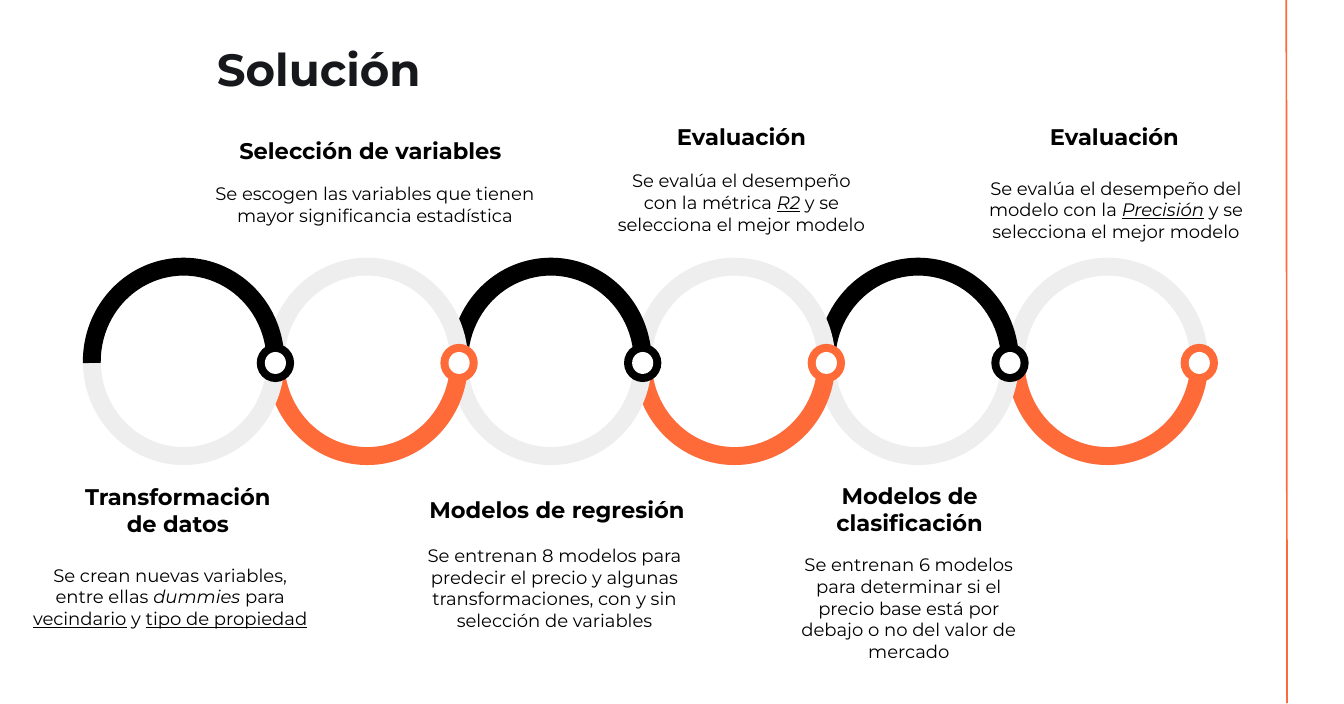
from pptx import Presentation
from pptx.dml.color import RGBColor
from pptx.enum.shapes import MSO_CONNECTOR, MSO_SHAPE
from pptx.enum.text import MSO_ANCHOR, MSO_AUTO_SIZE, PP_ALIGN
from pptx.oxml import parse_xml
from pptx.oxml.ns import nsdecls
from pptx.util import Pt

PX = 9144
FONT = "Montserrat"
BLACK = RGBColor(0x00, 0x00, 0x00)
INK = RGBColor(0x16, 0x18, 0x1C)
ORANGE = RGBColor(0xFF, 0x6A, 0x39)
GRAY = RGBColor(0xEE, 0xEE, 0xEE)
WHITE = RGBColor(0xFF, 0xFF, 0xFF)

RING_W, RING_H, RING_TOP, RING_THICKNESS = 248, 255, 317, 22
RING_LEFTS = [102 + 226 * i for i in range(5)] + [1239]
NODE_W, NODE_H, NODE_TOP, NODE_OFFSET, NODE_RIM = 46, 47, 423, 214, 10
UPPER_ARC, LOWER_ARC = (179, 1), (1, 179)

STEPS = [
    ("Transformación de datos", (88, 589, 262, 77), (30, 686, 359, 96),
     [("Se crean nuevas variables, entre ellas ", ""), ("dummies ", "i"),
      ("para ", ""), ("vecindario", "u"), (" y ", ""), ("tipo de propiedad", "u")]),
    ("Selección de variables", (273, 147, 366, 77), (248, 203, 427, 96),
     [("Se escogen las variables que tienen mayor significancia estadística", "")]),
    ("Modelos de regresión", (515, 588, 341, 77), (492, 675, 381, 96),
     [("Se entrenan 8 modelos para predecir el precio y algunas "
       "transformaciones, con y sin selección de variables", "")]),
    ("Evaluación", (749, 129, 327, 77), (749, 201, 327, 96),
     [("Se evalúa el desempeño con la métrica ", ""), ("R2", "iu"),
      (" y se selecciona el mejor modelo", "")]),
    ("Modelos de clasificación", (949, 588, 341, 77), (961, 700, 315, 96),
     [("Se entrenan 6 modelos para determinar si el precio base está por "
       "debajo o no del valor de mercado", "")]),
    ("Evaluación", (1208, 129, 327, 77), (1203, 210, 341, 96),
     [("Se evalúa el desempeño del modelo con la ", ""), ("Precisión", "iu"),
      (" y se selecciona el mejor modelo", "")]),
]


class Deck:
    def __init__(self, width, height):
        self.prs = Presentation()
        self.prs.slide_width, self.prs.slide_height = width * PX, height * PX
        self.s = self.prs.slides.add_slide(self.prs.slide_layouts[5])

    def frame(self, sp, inset):
        tf = sp.text_frame
        tf.word_wrap = True
        tf.auto_size = MSO_AUTO_SIZE.NONE
        tf.vertical_anchor = MSO_ANCHOR.MIDDLE
        tf.margin_left = tf.margin_right = inset * PX
        tf.margin_top = tf.margin_bottom = inset * PX
        return tf

    def style(self, r, size, color, bold=False):
        r.font.name = FONT
        r.font.size = Pt(size)
        r.font.bold = bold
        r.font.color.rgb = color

    def title(self, text, left, top, width, height):
        sp = self.s.shapes.title
        sp.left, sp.top = left * PX, top * PX
        sp.width, sp.height = width * PX, height * PX
        tf = self.frame(sp, 16)
        tf.text = text
        p = tf.paragraphs[0]
        p.alignment = PP_ALIGN.LEFT
        self.style(p.runs[0], 40, INK, True)

    def text(self, runs, box, size, bold=False):
        sp = self.s.shapes.add_textbox(*(v * PX for v in box))
        p = self.frame(sp, 10).paragraphs[0]
        p.alignment = PP_ALIGN.CENTER
        for text, marks in runs:
            r = p.add_run()
            r.text = text
            self.style(r, size, BLACK, bold)
            r.font.italic = "i" in marks
            r.font.underline = "u" in marks

    def shape(self, kind, left, top, width, height, fill, adjustments=()):
        sp = self.s.shapes.add_shape(kind, left * PX, top * PX, width * PX, height * PX)
        sp.shadow.inherit = False
        sp.fill.solid()
        sp.fill.fore_color.rgb = fill
        sp.line.fill.background()
        for i, value in enumerate(adjustments):
            sp.adjustments[i] = value

    def ring(self, left, color, angles):
        box = (left, RING_TOP, RING_W, RING_H)
        ratio = RING_THICKNESS / RING_W
        self.shape(MSO_SHAPE.DONUT, *box, GRAY, [ratio])
        start, end = (angle * 0.6 for angle in angles)
        self.shape(MSO_SHAPE.BLOCK_ARC, *box, color, [start, end, ratio])

    def node(self, left, color):
        for rim, fill in ((0, color), (NODE_RIM, WHITE)):
            self.shape(MSO_SHAPE.OVAL, left + rim, NODE_TOP + rim,
                       NODE_W - 2 * rim, NODE_H - 2 * rim, fill)

    def line(self, x1, y1, x2, y2, color, width):
        c = self.s.shapes.add_connector(
            MSO_CONNECTOR.STRAIGHT, x1 * PX, y1 * PX, x2 * PX, y2 * PX)
        c.line.color.rgb = color
        c.line.width = Pt(width)
        c._element.spPr.append(parse_xml(f"<a:effectLst {nsdecls('a')}/>"))


def main():
    deck = Deck(1654, 866)
    deck.title("Solución", 251, 45, 1008, 78)
    deck.line(1583, 0, 1584, 865, ORANGE, 1.5)
    for i, left in reversed(list(enumerate(RING_LEFTS))):
        color, angles = (ORANGE, LOWER_ARC) if i % 2 else (BLACK, UPPER_ARC)
        deck.ring(left, color, angles)
        deck.node(left + NODE_OFFSET, color)
    for heading, heading_box, body_box, body in STEPS:
        deck.text([(heading, "")], heading_box, 20, True)
        deck.text(body, body_box, 16)
    deck.prs.save("out.pptx")


if __name__ == "__main__":
    main()
